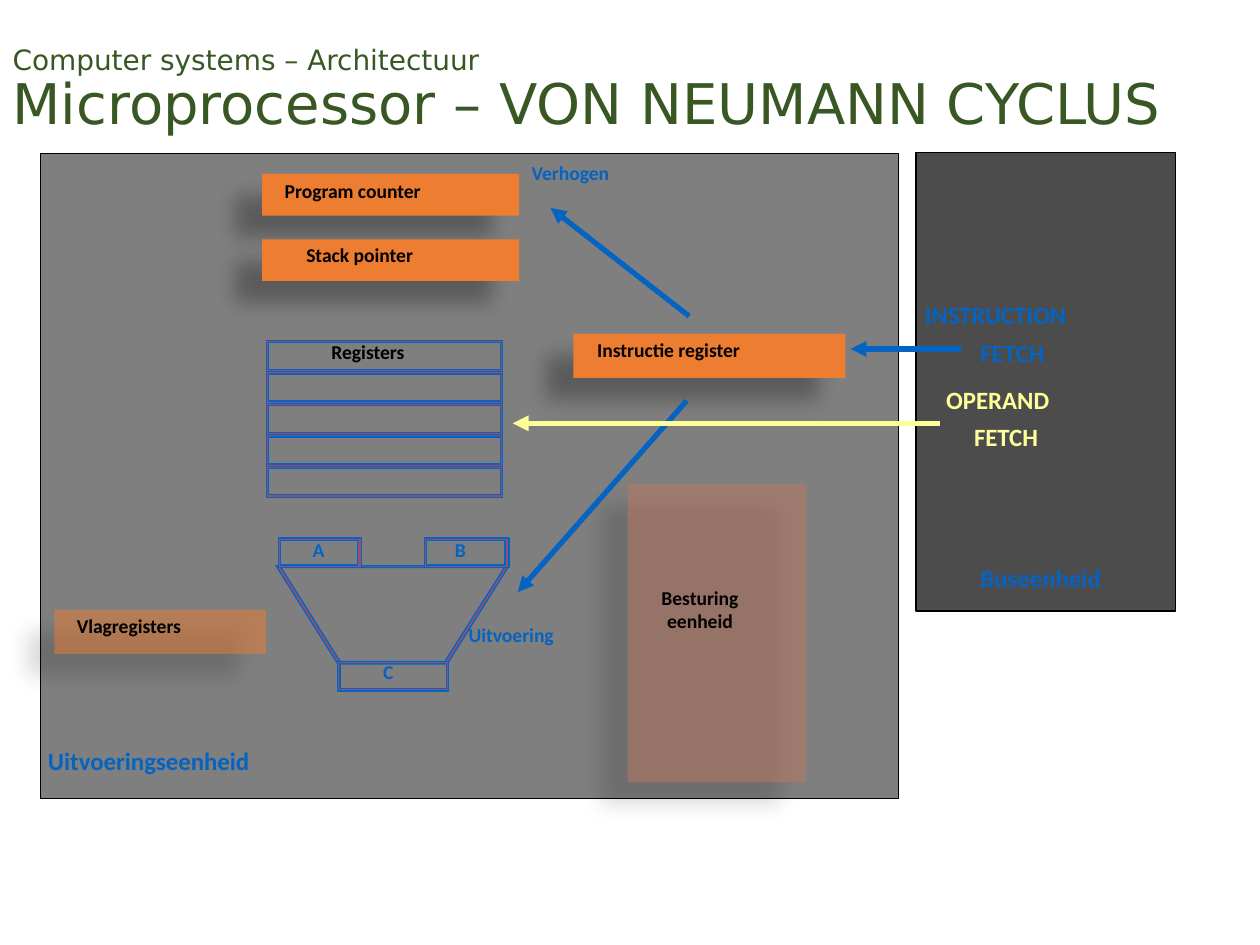
"""Build the Von Neumann cycle slide."""
from lxml import etree
from pptx import Presentation
from pptx.dml.color import RGBColor
from pptx.enum.shapes import MSO_CONNECTOR, MSO_SHAPE
from pptx.enum.text import MSO_ANCHOR, MSO_AUTO_SIZE, PP_ALIGN
from pptx.oxml.ns import qn
from pptx.util import Pt

RECT = MSO_SHAPE.RECTANGLE
STRAIGHT = MSO_CONNECTOR.STRAIGHT
MIDDLE = MSO_ANCHOR.MIDDLE
GROW = MSO_AUTO_SIZE.SHAPE_TO_FIT_TEXT
FIXED = MSO_AUTO_SIZE.NONE
LEFT, CENTER = PP_ALIGN.LEFT, PP_ALIGN.CENTER

BLACK, BLUE, YELLOW = "000000", "0563C1", "FFFF99"
ORANGE, BROWN, PURPLE, GREEN = "ED7D31", "BE7960", "954F72", "385723"
SMALL, LARGE = 11.2, 14.2
EDGE = 1.3

PANELS = [((523.4, 87.1, 148.3, 262.1), 70), ((23, 87.8, 490.3, 368.6), 50)]
BLOCKS = [
    ((358.6, 276.5, 102.2, 170.6), BROWN, 50),
    ((327.6, 190.8, 155.5, 25.2), ORANGE, 100),
    ((149.8, 99.4, 146.9, 23.8), ORANGE, 100),
    ((149.8, 136.8, 146.9, 23.8), ORANGE, 100),
    ((31, 348.5, 121, 25.2), ORANGE, 50),
]
LABELS = [
    ("INSTRUCTION", (528.5, 171.4, 108.7, 24.5), LARGE, BLUE),
    ("FETCH", (560.2, 193, 49, 24.5), LARGE, BLUE),
    ("Uitvoeringseenheid", (27.4, 426.2, 154.8, 24.5), LARGE, BLUE),
    ("Buseenheid", (560.2, 321.8, 92.2, 24.5), LARGE, BLUE),
    ("OPERAND", (540.7, 219.6, 79.2, 24.5), LARGE, YELLOW),
    ("FETCH", (556.6, 241.2, 49, 24.5), LARGE, YELLOW),
    ("Besturing\neenheid", (378, 334.8, 59.8, 38.2), SMALL, BLACK),
    ("Registers", (189.4, 194.4, 56.9, 19.4), SMALL, BLACK),
    ("Instructie register", (341.3, 193, 110.9, 19.4), SMALL, BLACK),
    ("Program counter", (162.7, 102.2, 105.8, 19.4), SMALL, BLACK),
    ("Stack pointer", (175, 139, 82.8, 19.4), SMALL, BLACK),
    ("Vlagregisters", (43.9, 350.6, 81.4, 19.4), SMALL, BLACK),
    ("Uitvoering", (267.8, 355.7, 65.5, 19.4), SMALL, BLUE),
    ("A", (178.6, 307.4, 9.4, 19.4), SMALL, BLUE),
    ("B", (259.9, 307.4, 8.6, 19.4), SMALL, BLUE),
    ("C", (218.9, 377.3, 7.9, 19.4), SMALL, BLUE),
    ("Verhogen", (303.8, 92.2, 60.5, 19.4), SMALL, BLUE),
]
ARROWS = [
    ((393.8, 180.7), (314.6, 118.8), BLUE),
    ((392.4, 229), (295.9, 338.4), BLUE),
    ((549.4, 199.4), (486, 199.4), BLUE),
    ((537.1, 241.9), (293, 241.9), YELLOW),
]
FUNNEL = (
    [(157.7, 323.3), (290.9, 323.3), (255.6, 379.4), (193, 379.4)],
    [(160.6, 324.3), (288.3, 324.3), (254.2, 378), (194.4, 378)],
)
PORTS = [
    ((159.1, 307.4, 47.5, 16.8), 2.2, EDGE),
    ((242.6, 307.4, 48.3, 16.8), 2.2, EDGE),
    ((193, 378, 63.3, 16.8), EDGE, EDGE),
]


def tint(hue):
    """Return a colour from its hex string."""
    return RGBColor.from_string(hue)


def style(item, values):
    """Set the given attributes on an item."""
    for name, value in values.items():
        setattr(item, name, value)


def paint(shape, hue, alpha=100):
    """Fill a shape with a colour of the given opacity."""
    shape.shadow.inherit = False
    shape.fill.solid()
    shape.fill.fore_color.rgb = tint(hue)
    if alpha < 100:
        node = shape.fill._xPr.find(".//" + qn("a:srgbClr"))
        etree.SubElement(node, qn("a:alpha"), val=str(alpha * 1000))


def rule(shape, hue, width):
    """Give a shape its line colour and width."""
    shape.line.color.rgb = tint(hue)
    shape.line.width = Pt(width)


def box(shapes, area, hue, alpha):
    """Add a filled rectangle without a line."""
    shape = shapes.add_shape(RECT, *map(Pt, area))
    paint(shape, hue, alpha)
    shape.line.fill.background()
    return shape


def shade(shape):
    """Cast a soft shadow down and to the left."""
    effects = shape._element.spPr.find(qn("a:effectLst"))
    outer = etree.SubElement(
        effects, qn("a:outerShdw"), blurRad=str(Pt(11.8)), dist=str(Pt(19.7)),
        dir=str(141 * 60000), algn="ctr", rotWithShape="0")
    color = etree.SubElement(outer, qn("a:srgbClr"), val=BLACK)
    etree.SubElement(color, qn("a:alpha"), val="28000")


def ring(shapes, outer, inner):
    """Draw the band between two outlines."""
    outer, inner = [[(Pt(x), Pt(y)) for x, y in side]
                    for side in (outer, inner[::-1])]
    pen = shapes.build_freeform(*outer[0])
    pen.add_line_segments(outer[1:], close=True)
    pen.move_to(*inner[0])
    pen.add_line_segments(inner[1:], close=True)
    shape = pen.convert_to_shape()
    paint(shape, PURPLE)
    rule(shape, BLUE, 0.75)


def points(left, top, right, low):
    """List the corners of a rectangle."""
    return [(left, top), (right, top), (right, low), (left, low)]


def frame(shapes, area, right=EDGE, low=EDGE):
    """Draw a rectangular band with the given edge widths."""
    x, y, w, h = area
    ring(shapes, points(x, y, x + w, y + h),
         points(x + EDGE, y + EDGE, x + w - right, y + h - low))


def label(shapes, text, area, size, hue):
    """Add a bold label that does not wrap."""
    frame = shapes.add_textbox(*map(Pt, area)).text_frame
    style(frame, dict(word_wrap=False, auto_size=GROW, margin_left=0,
                      margin_top=0, margin_right=0, margin_bottom=0))
    frame.text = text
    for row, para in enumerate(frame.paragraphs):
        para.alignment = CENTER if row else LEFT
        font = para.runs[0].font
        style(font, dict(name="Calibri", size=Pt(size), bold=True))
        font.color.rgb = tint(hue)


def arrow(shapes, start, end, hue):
    """Add a straight arrow."""
    line = shapes.add_connector(STRAIGHT, *map(Pt, start + end))
    rule(line, hue, 3)
    etree.SubElement(line.line._get_or_add_ln(), qn("a:tailEnd"), type="triangle")
    etree.SubElement(line._element.spPr, qn("a:effectLst"))


def head(title):
    """Place and format the two-line title."""
    style(title, dict(left=0, top=0, width=Pt(720), height=Pt(104.4)))
    frame = title.text_frame
    style(frame, dict(vertical_anchor=MIDDLE, word_wrap=True, auto_size=FIXED))
    para = frame.paragraphs[0]
    style(para, dict(alignment=LEFT, line_spacing=0.9))
    lines = [("Computer systems – Architectuur", 16),
             ("Microprocessor – VON NEUMANN CYCLUS", 32)]
    for row, (text, size) in enumerate(lines):
        if row:
            para.add_line_break()
        run = para.add_run()
        run.text = text
        style(run.font, dict(name="DejaVu Sans", size=Pt(size)))
        run.font.color.rgb = tint(GREEN)


def main():
    """Build and save the slide."""
    deck = Presentation()
    style(deck, dict(slide_width=Pt(720), slide_height=Pt(540)))
    shapes = deck.slides.add_slide(deck.slide_layouts[5]).shapes
    head(shapes.title)
    for area, alpha in PANELS:
        rule(box(shapes, area, BLACK, alpha), BLACK, 0.75)
    ring(shapes, *FUNNEL)
    for port in PORTS:
        frame(shapes, *port)
    for row in range(5):
        low = 2 if row == 4 else EDGE
        frame(shapes, (152.3, 194.4 + 18 * row, 134.9, 18), low=low)
    for block in BLOCKS:
        shade(box(shapes, *block))
    for item in LABELS:
        label(shapes, *item)
    for item in ARROWS:
        arrow(shapes, *item)
    deck.save("out.pptx")


if __name__ == "__main__":
    main()
